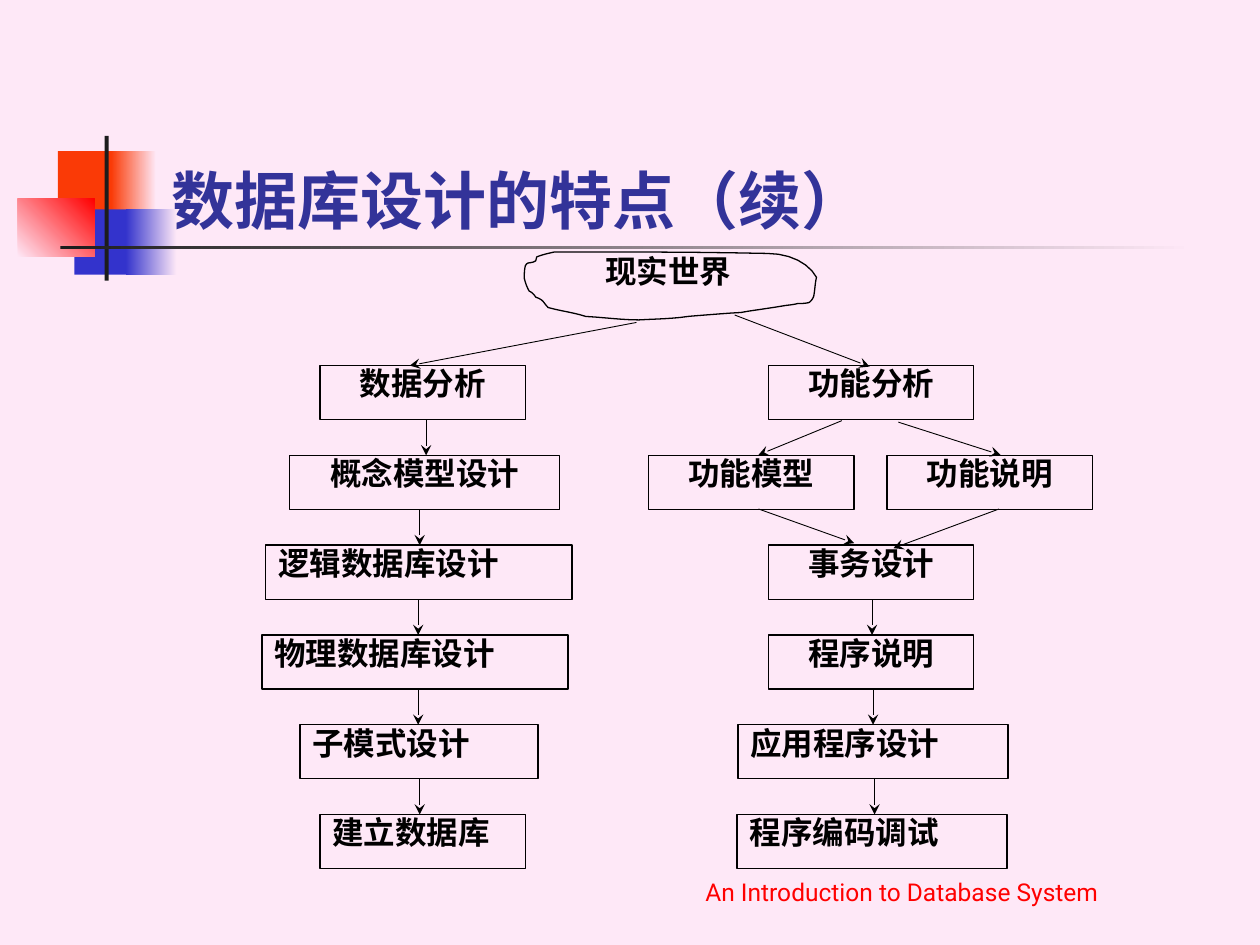
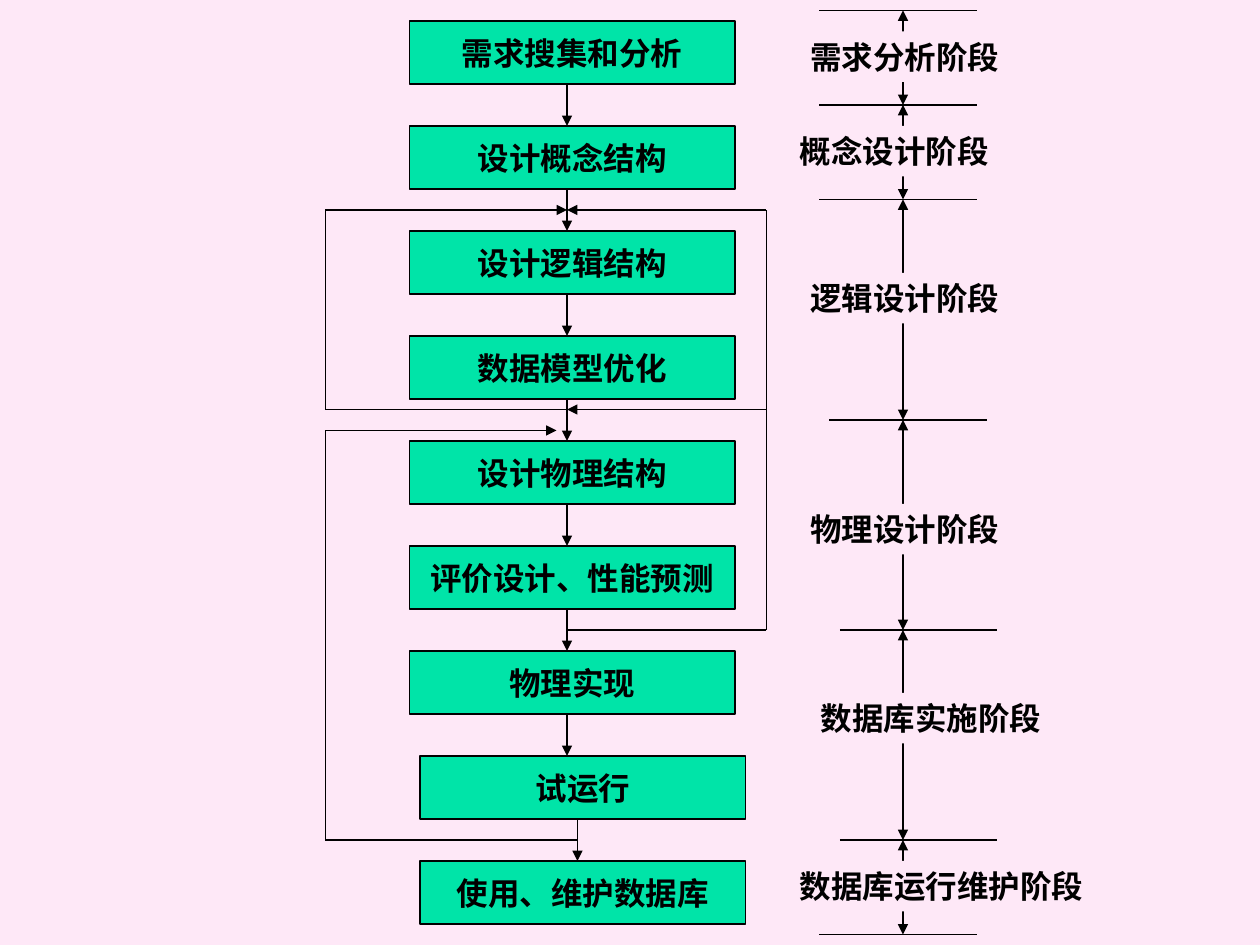
import itertools

import pptx
import pptx.dml.color
import pptx.enum.shapes
import pptx.enum.text
import pptx.oxml
import pptx.oxml.ns
import pptx.util

Cm = pptx.util.Cm
Pt = pptx.util.Pt
ALIGN = pptx.enum.text.PP_ALIGN
ANCHOR = pptx.enum.text.MSO_ANCHOR
RECTANGLE = pptx.enum.shapes.MSO_SHAPE.RECTANGLE

COLOURS = {
    "page": "FEE8F7", "ink": "000000", "title": "333399", "footer": "FF0000",
    "orange": "FA3A06", "blue": "3333CC", "red": "FF0000", "bar": "1C1C1C",
    "step": "00E4A8",
}
TITLE_FONT = "Roboto"
BODY_FONT = "Times New Roman"

# Slide 1, in centimetres
TITLE = "数据库设计的特点（续）"
FOOTER = "An Introduction to Database System"
# left, top, width, height, colour, colour it fades to, angle
ORNAMENTS = [
    (1.17, 3.05, 1.22, 1.32, "orange", None, 0),
    (2.24, 3.05, 0.91, 1.32, "orange", "page", 0),
    (1.5, 4.22, 1.17, 1.32, "blue", None, 0),
    (2.54, 4.22, 1.02, 1.32, "blue", "page", 0),
    (0.36, 4.01, 1.55, 1.17, "page", "red", 45),
    (2.11, 2.74, 0.08, 2.92, "bar", None, 0),
    (1.22, 4.95, 22.86, 0.08, "bar", "page", 0),
]
ROOT = "现实世界"
CLOUD_START = (10.82, 5.18)
# Each row: two control points and the end point of one curve
CLOUD_CURVES = [
    ((10.95, 5.13), (11.05, 5.11), (11.18, 5.08)),
    ((12.6, 5.08), (14.05, 5.08), (15.47, 5.11)),
    ((15.93, 5.11), (16.31, 5.31), (16.46, 5.59)),
    ((16.43, 5.72), (16.43, 5.84), (16.41, 5.94)),
    ((16.41, 5.99), (16.36, 6.07), (16.31, 6.1)),
    ((16.23, 6.12), (16.15, 6.12), (16.08, 6.12)),
    ((15.98, 6.15), (15.88, 6.15), (15.77, 6.17)),
    ((15.49, 6.22), (15.21, 6.25), (14.94, 6.3)),
    ((14.58, 6.32), (13.87, 6.38), (13.87, 6.38)),
    ((13.56, 6.43), (13.21, 6.43), (12.88, 6.45)),
    ((12.52, 6.45), (12.19, 6.4), (11.81, 6.38)),
    ((11.56, 6.3), (11.3, 6.27), (11.05, 6.2)),
    ((10.95, 6.1), (10.97, 6.05), (10.8, 5.99)),
    ((10.77, 5.94), (10.72, 5.89), (10.67, 5.87)),
    ((10.62, 5.79), (10.59, 5.69), (10.57, 5.61)),
    ((10.57, 5.54), (10.57, 5.46), (10.59, 5.36)),
    ((10.64, 5.26), (10.69, 5.33), (10.8, 5.26)),
]
# text, row, left, width, alignment
TREE_BOXES = [
    ("数据分析", 0, 6.45, 4.14, ALIGN.CENTER),
    ("概念模型设计", 1, 5.84, 5.44, ALIGN.CENTER),
    ("逻辑数据库设计", 2, 5.36, 6.17, ALIGN.JUSTIFY),
    ("物理数据库设计", 3, 5.28, 6.17, ALIGN.JUSTIFY),
    ("子模式设计", 4, 6.05, 4.8, ALIGN.JUSTIFY),
    ("建立数据库", 5, 6.45, 4.14, ALIGN.JUSTIFY),
    ("功能分析", 0, 15.49, 4.14, ALIGN.CENTER),
    ("功能模型", 1, 13.08, 4.14, ALIGN.CENTER),
    ("功能说明", 1, 17.88, 4.14, ALIGN.CENTER),
    ("事务设计", 2, 15.49, 4.14, ALIGN.CENTER),
    ("程序说明", 3, 15.49, 4.14, ALIGN.CENTER),
    ("应用程序设计", 4, 14.88, 5.44, ALIGN.JUSTIFY),
    ("程序编码调试", 5, 14.86, 5.44, ALIGN.JUSTIFY),
]
ROW_TOP, ROW_PITCH, ROW_HEIGHT = 7.37, 1.81, 1.09
# row above the arrow, x
DOWN_ARROWS = [(0, 8.59), (1, 8.46), (2, 8.43), (3, 8.43), (4, 8.46),
               (2, 17.58), (3, 17.6), (4, 17.63)]
SLANTED_ARROWS = [
    ((12.83, 6.5), (8.26, 7.37)), ((14.81, 6.35), (17.53, 7.39)),
    ((16.97, 8.48), (15.29, 9.17)), ((18.11, 8.51), (20.17, 9.17)),
    ((15.29, 10.26), (17.22, 10.95)), ((20.14, 10.26), (18.01, 11.05)),
]

# Slide 2, in grid cells
CELL = 2.54 / 12
STEPS = ["需求搜集和分析", "设计概念结构", "设计逻辑结构", "数据模型优化",
         "设计物理结构", "评价设计、性能预测", "物理实现", "试运行",
         "使用、维护数据库"]
SHIFTED_FROM = 7  # the last steps stand one cell further right
FEEDBACK = [
    [(54, 39), (31, 39), (31, 20), (54, 20)],
    [(55, 80), (31, 80), (31, 41), (53, 41)],
    [(54, 60), (73, 60), (73, 20), (54, 20)],
    [(73, 39), (54, 39)],
]
# y, left
BOUNDARIES = [(1, 78), (10, 78), (19, 78), (40, 79), (60, 80), (80, 80), (89, 78)]
# text, left, top
STAGES = [
    ("需求分析阶段", 76, 3), ("概念设计阶段", 75, 12), ("逻辑设计阶段", 76, 26),
    ("物理设计阶段", 76, 48), ("数据库实施阶段", 77, 66),
    ("数据库运行维护阶段", 75, 82),
]


def rgb(name):
    return pptx.dml.color.RGBColor.from_string(COLOURS[name])


def write(shape, text, size=18, font=BODY_FONT, colour="ink", bold=True,
          align=ALIGN.LEFT, anchor=ANCHOR.TOP, wrap=True, spacing=None):
    frame = shape.text_frame
    frame.word_wrap = wrap
    frame.vertical_anchor = anchor
    para = frame.paragraphs[0]
    para.alignment = align
    para.line_spacing = spacing
    span = para.add_run()
    span.text = text
    span.font.size = Pt(size)
    span.font.name = font
    span.font.bold = bold
    span.font.color.rgb = rgb(colour)


def style(shape, fill=None, fade=None, angle=0, outline=True):
    shape.shadow.inherit = False
    if fade:
        shape.fill.gradient()
        shape.fill.gradient_angle = angle
        for stop, name in zip(shape.fill.gradient_stops, (fill, fade)):
            stop.color.rgb = rgb(name)
    elif fill:
        shape.fill.solid()
        shape.fill.fore_color.rgb = rgb(fill)
    else:
        shape.fill.background()
    if outline:
        shape.line.color.rgb = rgb("ink")
        shape.line.width = Pt(0.75)
    else:
        shape.line.fill.background()


def add_box(page, left, top, width, height, **look):
    box = page.shapes.add_shape(RECTANGLE, Cm(left), Cm(top), Cm(width), Cm(height))
    style(box, **look)
    return box


def add_text(page, text, left, top, width, height, **form):
    box = page.shapes.add_textbox(Cm(left), Cm(top), Cm(width), Cm(height))
    write(box, text, **form)


def add_line(page, start, end, head=None, tail=None, width=0.75):
    line = page.shapes.add_connector(
        pptx.enum.shapes.MSO_CONNECTOR.STRAIGHT, *(Cm(v) for v in (*start, *end)))
    line.line.color.rgb = rgb("ink")
    line.line.width = Pt(width)
    outline = line.line._get_or_add_ln()
    for tag, kind in (("headEnd", head), ("tailEnd", tail)):
        if kind:
            outline.append(pptx.oxml.parse_xml(
                f'<a:{tag} {pptx.oxml.ns.nsdecls("a")} type="{kind}"/>'))
    line._element.spPr.append(pptx.oxml.parse_xml(
        f'<a:effectLst {pptx.oxml.ns.nsdecls("a")}/>'))


def curve_points(start, curves, pieces=6):
    """Return points along a chain of cubic curves."""
    points = []
    for first, second, end in curves:
        for t in (n / pieces for n in range(1, pieces + 1)):
            u = 1 - t
            points.append(tuple(
                u**3 * a + 3 * u * u * t * b + 3 * u * t * t * c + t**3 * d
                for a, b, c, d in zip(start, first, second, end)))
        start = end
    return points


def cells(*values):
    """Turn grid cells into centimetres."""
    return [value * CELL for value in values]


def build_tree(deck):
    page = deck.slides.add_slide(deck.slide_layouts[5])
    for left, top, width, height, fill, fade, angle in ORNAMENTS:
        add_box(page, left, top, width, height,
                fill=fill, fade=fade, angle=angle, outline=False)
    title = page.shapes.title
    title.left, title.top, title.width, title.height = map(Cm, (3.2, 1.73, 21.64, 3.18))
    write(title, TITLE, size=36, font=TITLE_FONT, colour="title", anchor=ANCHOR.BOTTOM)
    add_text(page, FOOTER, 13.97, 17.12, 10.39, 1.27, size=14, font=TITLE_FONT,
             colour="footer", bold=False, anchor=ANCHOR.BOTTOM)

    outline = page.shapes.build_freeform(*map(Cm, CLOUD_START))
    outline.add_line_segments(
        [(Cm(x), Cm(y)) for x, y in curve_points(CLOUD_START, CLOUD_CURVES)])
    style(outline.convert_to_shape())
    add_text(page, ROOT, 11.48, 5.11, 3.99, 1.32, align=ALIGN.CENTER, spacing=0.8)

    for text, row, left, width, align in TREE_BOXES:
        box = add_box(page, left, ROW_TOP + row * ROW_PITCH, width, ROW_HEIGHT)
        write(box, text, align=align, spacing=0.8)
    for row, x in DOWN_ARROWS:
        top = ROW_TOP + row * ROW_PITCH
        add_line(page, (x, top + ROW_HEIGHT), (x, top + ROW_PITCH),
                 tail="stealth", width=0.5)
    for start, end in SLANTED_ARROWS:
        add_line(page, start, end, tail="stealth", width=0.5)


def build_stages(deck):
    page = deck.slides.add_slide(deck.slide_layouts[6])
    for number, text in enumerate(STEPS):
        top = 2 + 10 * number
        left = 40 if number >= SHIFTED_FROM else 39
        box = add_box(page, *cells(left, top, 31, 6), fill="step")
        write(box, text, align=ALIGN.CENTER, anchor=ANCHOR.MIDDLE, wrap=False)
        if number < len(STEPS) - 1:
            add_line(page, cells(left + 15, top + 6), cells(left + 15, top + 10),
                     tail="triangle")

    for y, left in BOUNDARIES:
        add_line(page, cells(left, y), cells(left + 15, y))
    for (top, _), (bottom, _) in itertools.pairwise(BOUNDARIES):
        add_line(page, cells(86, top), cells(86, bottom),
                 head="triangle", tail="triangle")
    for text, left, top in STAGES:
        label = add_box(page, *cells(left, top, 2.4 + 3.03 * len(text), 4.8),
                        fill="page", outline=False)
        write(label, text, wrap=False)

    for route in FEEDBACK:
        for start, end in itertools.pairwise(route):
            add_line(page, cells(*start), cells(*end),
                     tail="triangle" if end == route[-1] else None)


def main():
    deck = pptx.Presentation()
    deck.slide_width, deck.slide_height = Cm(25.4), Cm(19.05)
    backdrop = deck.slide_master.background.fill
    backdrop.solid()
    backdrop.fore_color.rgb = rgb("page")
    build_tree(deck)
    build_stages(deck)
    deck.save("out.pptx")


if __name__ == "__main__":
    main()
